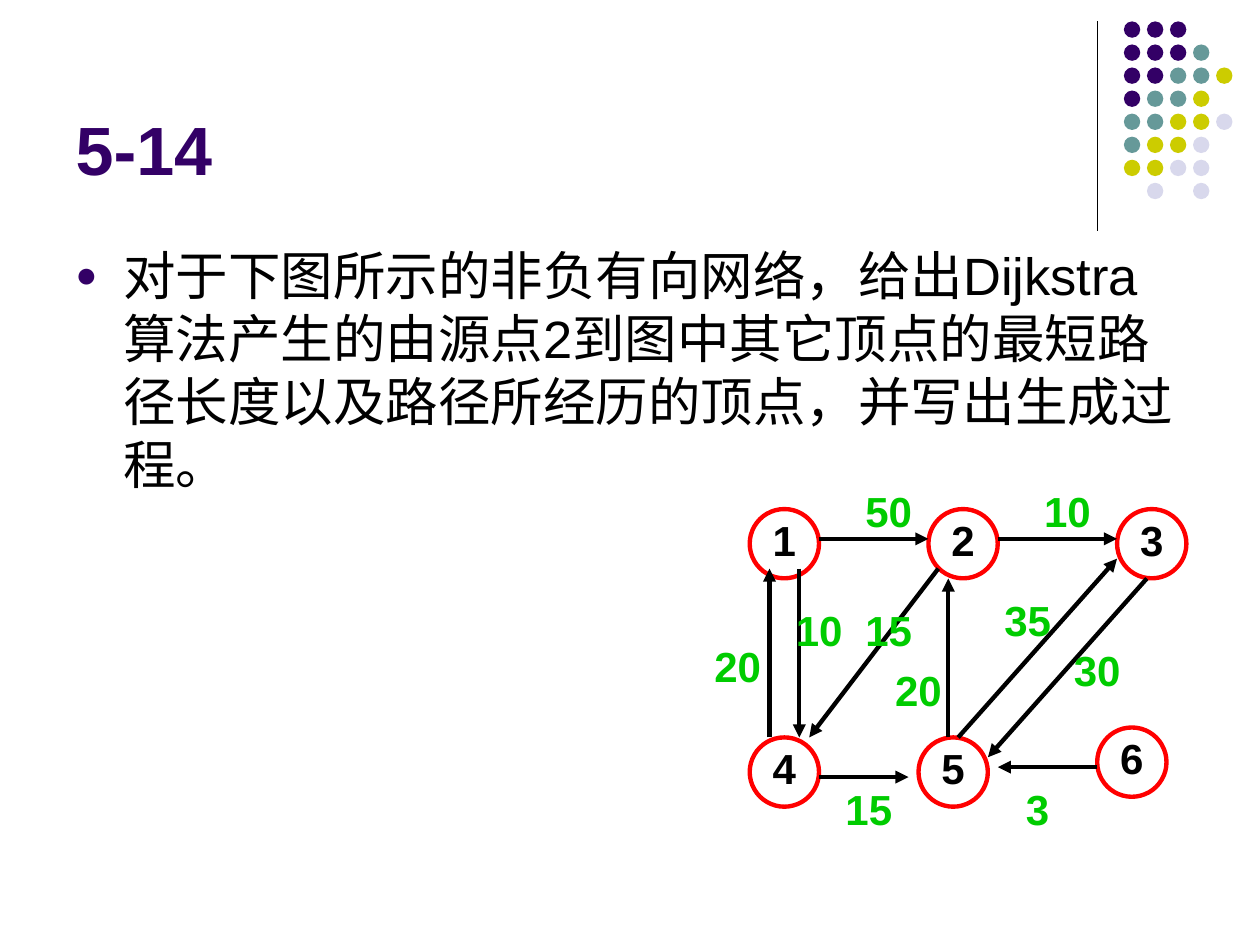
from dataclasses import dataclass

from lxml import etree
from pptx import Presentation, util as u
from pptx.dml.color import RGBColor
from pptx.enum import shapes, text
from pptx.oxml import ns

TITLE = "5-14"
QUESTION = ("对于下图所示的非负有向网络，给出Dijkstra算法产生的由源点2到图中其它顶点的"
            "最短路径长度以及路径所经历的顶点，并写出生成过程。")

# Network, in grid cells from the top left of vertex 1; a vertex is 7 cells wide
VERTICES = {"1": (0, 0), "2": (18, 0), "3": (37, 0),
            "4": (0, 23), "5": (17, 23), "6": (35, 22)}
# weight, tail end, arrow end, top centre of the weight label
EDGES = [
    ("10", (5, 6), (5, 23), (7, 9)),
    ("20", (2, 23), (2, 6), (-1.2, 12.6)),
    ("50", (7, 3), (18, 3), (14, -3)),
    ("10", (25, 3), (37, 3), (32, -3)),
    ("15", (19, 6), (6, 23), (14, 9)),
    ("20", (20, 23), (20, 7), (17, 15)),
    ("15", (7, 27), (16, 27), (12, 27)),
    ("3", (35, 26), (25, 26), (29, 27)),
    ("35", (21, 23), (37, 5), (28, 8)),
    ("30", (40, 7), (24, 25), (35, 13)),
]
# One letter a dot: purple, teal, yellow, lilac
DOTS = ["PPP", "PPPT", "PPTTY", "PTTY", "TTYYL", "TYYL", "YYLL", " L L"]


@dataclass(frozen=True)
class Theme:
    font: str = "Arial"
    black: str = "000000"
    purple: str = "330066"
    vertex: str = "FF0000"
    weight: str = "00CC00"
    title_size: int = 39
    body_size: int = 30
    graph_size: int = 24
    line_width: float = 2.5


THEME = Theme()
DOT_COLORS = {"P": THEME.purple, "T": "669999", "Y": "CCCC00", "L": "D8D8EC"}

CELL = 0.0788
GRAPH_LEFT, GRAPH_TOP = 5.95, 4.04
VERTEX_SIZE = 0.55
LABEL_WIDTH, LABEL_HEIGHT = 0.63, 0.5
DOT_LEFT, DOT_TOP, DOT_PITCH, DOT_SIZE = 8.92, 0.17, 0.183, 0.13


def on_graph(cell):
    return GRAPH_LEFT + cell[0] * CELL, GRAPH_TOP + cell[1] * CELL


def inches(*lengths):
    return [u.Inches(length) for length in lengths]


def write(frame, words, size, color, bold=False, align=text.PP_ALIGN.LEFT):
    frame.word_wrap = True
    frame.auto_size = text.MSO_AUTO_SIZE.NONE
    paragraph = frame.paragraphs[0]
    paragraph.text = words
    paragraph.alignment = align
    font = paragraph.font
    font.name, font.size, font.bold = THEME.font, u.Pt(size), bold
    font.color.rgb = RGBColor.from_string(color)


def add_bullet(paragraph):
    props = paragraph._p.get_or_add_pPr()
    props.set("marL", str(u.Inches(0.38)))
    props.set("indent", str(u.Inches(-0.38)))
    color = etree.SubElement(props, ns.qn("a:buClr"))
    etree.SubElement(color, ns.qn("a:srgbClr"), val=THEME.purple)
    etree.SubElement(props, ns.qn("a:buSzPct"), val="70000")
    etree.SubElement(props, ns.qn("a:buFont"), typeface=THEME.font)
    etree.SubElement(props, ns.qn("a:buChar"), char="●")


def add_line(slide, start, end, width, arrow=False):
    line = slide.shapes.add_connector(
        shapes.MSO_CONNECTOR.STRAIGHT, *inches(*start, *end))
    line.line.color.rgb = RGBColor.from_string(THEME.black)
    line.line.width = u.Pt(width)
    if arrow:
        etree.SubElement(line.line._get_or_add_ln(), ns.qn("a:tailEnd"), type="triangle")
    etree.SubElement(line._element.spPr, ns.qn("a:effectLst"))


def add_circle(slide, left, top, size):
    circle = slide.shapes.add_shape(
        shapes.MSO_SHAPE.OVAL, *inches(left, top, size, size))
    circle.shadow.inherit = False
    return circle


def add_dots(slide):
    for row, letters in enumerate(DOTS):
        for column, letter in enumerate(letters):
            if letter in DOT_COLORS:
                dot = add_circle(slide, DOT_LEFT + column * DOT_PITCH,
                                 DOT_TOP + row * DOT_PITCH, DOT_SIZE)
                dot.fill.solid()
                dot.fill.fore_color.rgb = RGBColor.from_string(DOT_COLORS[letter])
                dot.line.fill.background()


def add_vertex(slide, number, cell):
    vertex = add_circle(slide, *on_graph(cell), VERTEX_SIZE)
    vertex.fill.background()
    vertex.line.color.rgb = RGBColor.from_string(THEME.vertex)
    vertex.line.width = u.Pt(THEME.line_width)
    frame = vertex.text_frame
    frame.margin_left = frame.margin_right = frame.margin_top = 0
    frame.margin_bottom = u.Inches(0.07)
    frame.vertical_anchor = text.MSO_ANCHOR.MIDDLE
    write(frame, number, THEME.graph_size, THEME.black, True, text.PP_ALIGN.CENTER)


def add_weight(slide, weight, cell):
    center, top = on_graph(cell)
    label = slide.shapes.add_textbox(
        *inches(center - LABEL_WIDTH / 2, top, LABEL_WIDTH, LABEL_HEIGHT))
    write(label.text_frame, weight, THEME.graph_size, THEME.weight, True,
          text.PP_ALIGN.CENTER)


def main():
    deck = Presentation()
    deck.slide_width, deck.slide_height = inches(10, 7.5)
    slide = deck.slides.add_slide(deck.slide_layouts.get_by_name("Title Only"))

    add_line(slide, (8.71, 0.17), (8.71, 1.83), 0.75)
    add_dots(slide)

    title = slide.shapes.title
    title.left, title.top, title.width, title.height = inches(0.5, 0.13, 8.25, 1.42)
    title.text_frame.vertical_anchor = text.MSO_ANCHOR.BOTTOM
    write(title.text_frame, TITLE, THEME.title_size, THEME.purple, True)

    question = slide.shapes.add_textbox(*inches(0.5, 1.88, 9, 4.82)).text_frame
    add_bullet(question.paragraphs[0])
    write(question, QUESTION, THEME.body_size, THEME.black)

    for number, cell in VERTICES.items():
        add_vertex(slide, number, cell)
    for _, start, end, _ in EDGES:
        add_line(slide, on_graph(start), on_graph(end), THEME.line_width, arrow=True)
    for weight, _, _, label_cell in EDGES:
        add_weight(slide, weight, label_cell)

    deck.save("out.pptx")


if __name__ == "__main__":
    main()
